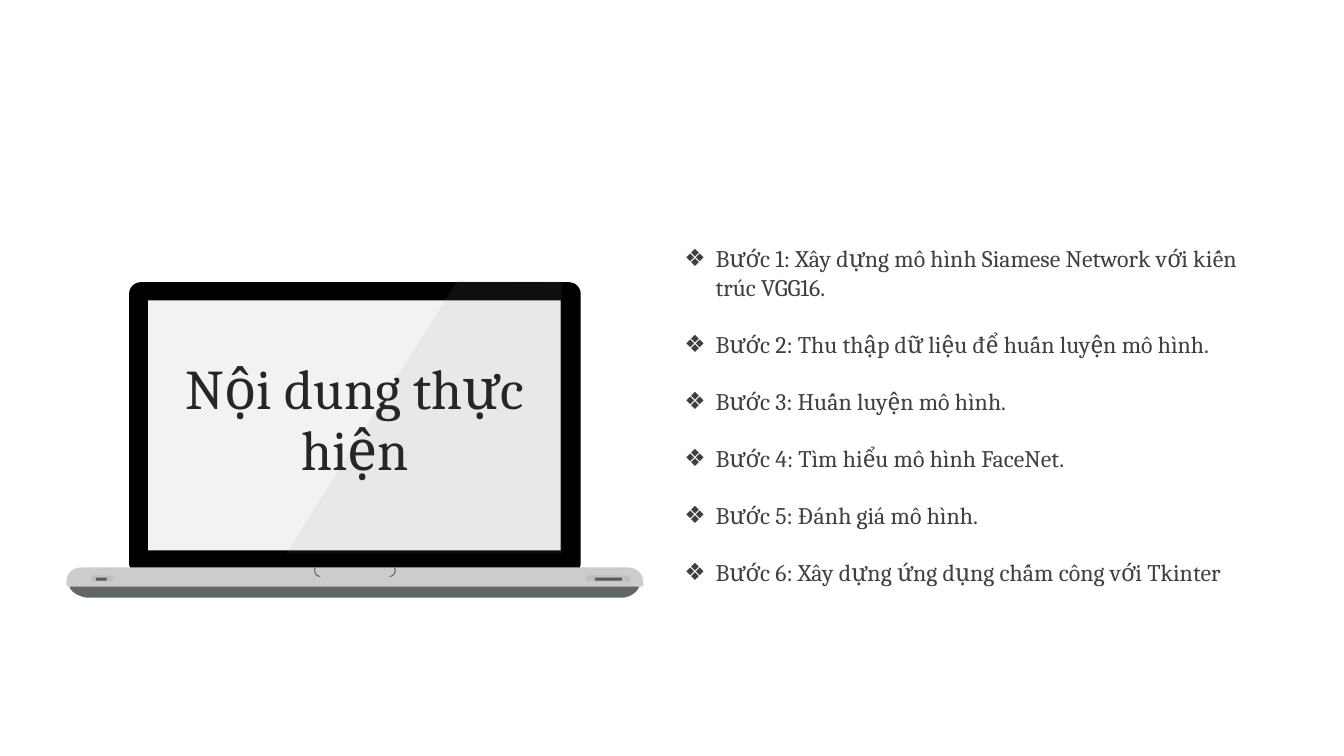
from lxml import etree
from pptx import Presentation
from pptx.dml.color import RGBColor
from pptx.enum.shapes import MSO_SHAPE as Preset
from pptx.enum.text import MSO_ANCHOR as Anchor, PP_ALIGN as Align
from pptx.oxml.ns import qn
from pptx.util import Inches, Pt

# Content
TITLE = "Nội dung thực hiện"
STEPS = [
    "Bước 1: Xây dựng mô hình Siamese Network với kiến trúc VGG16.",
    "Bước 2: Thu thập dữ liệu để huấn luyện mô hình.",
    "Bước 3: Huấn luyện mô hình.",
    "Bước 4: Tìm hiểu mô hình FaceNet.",
    "Bước 5: Đánh giá mô hình.",
    "Bước 6: Xây dựng ứng dụng chấm công với Tkinter",
]
FONT = "Cambria"
TITLE_COLOR, STEP_COLOR = "262626", "3F3F3F"

# Laptop outlines in inches: two numbers are a corner, six are a Bézier curve
BASE = [(6.18, 5.93), (6.18, 5.93, 6.3, 5.92, 6.34, 5.82), (6.34, 5.79, 6.32, 5.77, 6.29, 5.77),
        (0.75, 5.79), (0.72, 5.79, 0.69, 5.81, 0.69, 5.83), (0.73, 5.9, 0.81, 5.92, 0.86, 5.93)]
DECK = [(0.81, 5.63), (6.23, 5.63), (6.31, 5.63, 6.38, 5.69, 6.38, 5.77),
        (6.38, 5.8), (6.38, 5.8, 6.39, 5.82, 6.33, 5.82), (0.71, 5.82),
        (0.69, 5.82, 0.66, 5.82, 0.66, 5.8), (0.66, 5.77), (0.66, 5.69, 0.72, 5.63, 0.81, 5.63)]
NOTCH = [(3.12, 5.63), (3.13, 5.63), (3.13, 5.63, 3.11, 5.7, 3.16, 5.71),
         (3.18, 5.72), (3.16, 5.72), (3.1, 5.7, 3.12, 5.63, 3.12, 5.63)]
NOTCH_CENTER = 3.52
GLARE = [(4.54, 2.78), (5.57, 2.79), (5.57, 5.49), (2.84, 5.49)]

# Side ports: left, width of the recess, then of the slot
PORTS = [(0.91, 0.21, 0.95, 0.11), (5.81, 0.44, 5.9, 0.27)]

presentation = Presentation()
presentation.slide_width, presentation.slide_height = Inches(13.33), Inches(7.5)
slide = presentation.slides.add_slide(presentation.slide_layouts[6])


def paint(shape, color):
    shape.shadow.inherit = False
    shape.fill.solid()
    shape.fill.fore_color.rgb = RGBColor.from_string(color)
    shape.line.fill.background()
    return shape


def add_preset(preset, left, top, width, height, color, corner=None):
    box = [Inches(length) for length in (left, top, width, height)]
    shape = slide.shapes.add_shape(preset, *box)
    if corner is not None:
        shape.adjustments[0] = corner
    return paint(shape, color)


def trace(outline, steps=10):
    """Turn corners and curves into one list of points."""
    points = []
    for segment in outline:
        if len(segment) == 2:
            points.append(segment)
            continue
        controls = [points[-1], segment[:2], segment[2:4], segment[4:]]
        for step in range(1, steps + 1):
            t = step / steps
            weights = ((1 - t) ** 3, 3 * t * (1 - t) ** 2, 3 * t ** 2 * (1 - t), t ** 3)
            points.append(tuple(sum(weight * control[axis] for weight, control in zip(weights, controls))
                                for axis in (0, 1)))
    return points


def add_outline(points, color):
    start, *others = [(Inches(x), Inches(y)) for x, y in points]
    builder = slide.shapes.build_freeform(*start, scale=1.0)
    builder.add_line_segments(others, close=True)
    return paint(builder.convert_to_shape(), color)


def add_text(left, top, width, height, lines, size, color):
    box = slide.shapes.add_textbox(*[Inches(length) for length in (left, top, width, height)])
    frame = box.text_frame
    frame.word_wrap = True
    frame.text = "\n".join(lines)
    for paragraph in frame.paragraphs:
        font = paragraph.runs[0].font
        font.name, font.size = FONT, Pt(size)
        font.color.rgb = RGBColor.from_string(color)
    return frame


def add_bullet(paragraph, color, indent):
    properties = paragraph._p.get_or_add_pPr()
    properties.set("marL", str(Inches(indent)))
    properties.set("indent", str(-Inches(indent)))
    bullet_color = etree.SubElement(properties, qn("a:buClr"))
    etree.SubElement(bullet_color, qn("a:srgbClr"), val=color)
    etree.SubElement(properties, qn("a:buFont"), typeface="Arial")
    etree.SubElement(properties, qn("a:buChar"), char="❖")


# Laptop
add_outline(trace(BASE), "5F6767")
add_preset(Preset.ROUNDED_RECTANGLE, 1.28, 2.8, 4.48, 2.9, "000000", 0.04)
add_preset(Preset.RECTANGLE, 1.47, 2.98, 4.09, 2.48, "F2F2F2")
add_outline(trace(DECK), "CCCCCC")
notch = trace(NOTCH)
add_outline(notch, "4D4D4D")
add_outline([(2 * NOTCH_CENTER - x, y) for x, y in notch], "4D4D4D")
for recess_left, recess_width, slot_left, slot_width in PORTS:
    add_preset(Preset.ROUNDED_RECTANGLE, recess_left, 5.71, recess_width, 0.06, "BFBFBF", 0.28)
    add_preset(Preset.ROUNDED_RECTANGLE, slot_left, 5.73, slot_width, 0.03, "595959", 0.28)
glare = add_outline(GLARE, "999999")
glare_color = glare.fill._xPr.find(qn("a:solidFill"))[0]
etree.SubElement(glare_color, qn("a:alpha"), val="10000")

# Title on the screen
title = add_text(1.47, 2.98, 4.1, 2.41, [TITLE], 40, TITLE_COLOR)
title.vertical_anchor = Anchor.MIDDLE
title.paragraphs[0].alignment = Align.CENTER
title.paragraphs[0].line_spacing = 0.9

# Steps
steps = add_text(6.69, 2.37, 5.83, 3.53, STEPS, 17, STEP_COLOR)
for number, paragraph in enumerate(steps.paragraphs):
    add_bullet(paragraph, STEP_COLOR, 0.31)
    if number:
        paragraph.space_before = Pt(20.4)

presentation.save("out.pptx")
